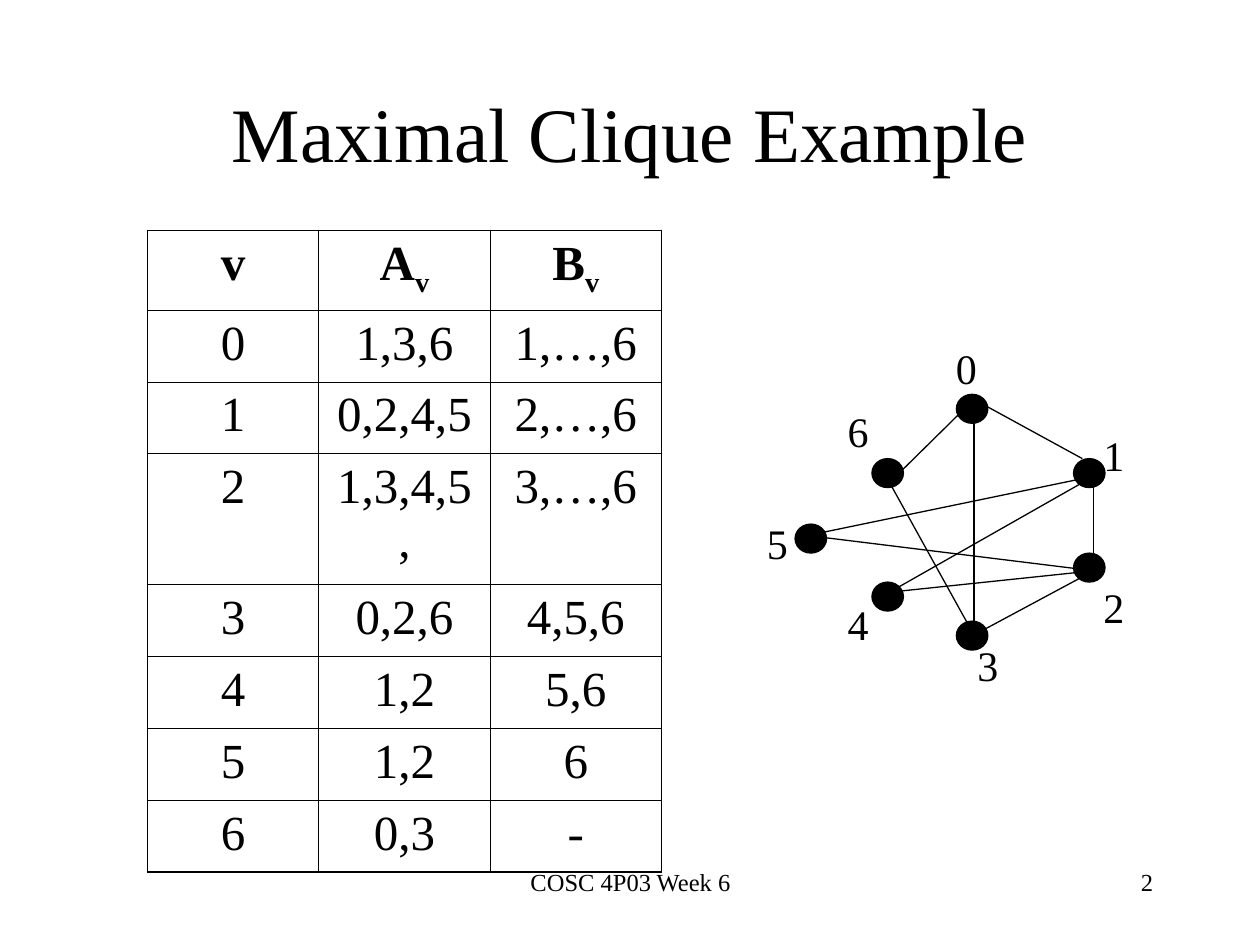
"""Build the maximal clique example slide."""
from lxml import etree
from pptx import Presentation
from pptx.dml.color import RGBColor
from pptx.enum import shapes, text
from pptx.oxml import ns
from pptx.util import Inches, Pt

BLACK = RGBColor(0, 0, 0)
FONT = "Times New Roman"
MID, RIGHT = text.PP_ALIGN.CENTER, text.PP_ALIGN.RIGHT

TITLE = "Maximal Clique Example"
HEAD = [("v", ""), ("A", "v"), ("B", "v")]
ROWS = [
    ("0", "1,3,6", "1,…,6"),
    ("1", "0,2,4,5", "2,…,6"),
    ("2", "1,3,4,5,", "3,…,6"),
    ("3", "0,2,6", "4,5,6"),
    ("4", "1,2", "5,6"),
    ("5", "1,2", "6"),
    ("6", "0,3", "-"),
]
HIGH = [0.63, 0.57, 0.57, 1.04] + [0.57] * 4
WIDE = 1.36
THIN, THICK = 0.45, 1.08

DOTS = [(7.59, 3.13), (8.52, 3.64), (8.52, 4.39), (7.59, 4.93),
        (6.92, 4.62), (6.31, 4.16), (6.92, 3.64)]
HUBS = [(7.73, 3.17), (8.68, 3.78), (8.68, 4.53), (7.73, 5.04),
        (7.06, 4.7), (6.41, 4.25), (7.06, 3.83)]
TAGS = [(7.42, 2.67), (8.59, 3.36), (8.59, 4.57), (7.59, 5.03),
        (6.56, 4.7), (5.92, 4.06), (6.56, 3.17)]
ENDS = {(0, 1): (8.59, 3.64)}


def style(para, size, align=MID, bold=False):
    para.alignment = align
    font = para.font
    font.name, font.size, font.bold = FONT, Pt(size), bold
    font.color.rgb = BLACK


def label(home, words, box, size, align=MID, side=0.1):
    frame = home.add_textbox(*map(Inches, box)).text_frame
    frame.word_wrap = True
    frame.margin_left = frame.margin_right = Inches(side)
    frame.text = words
    style(frame.paragraphs[0], size, align)
    return frame


def edge(home, start, end):
    line = home.add_connector(
        shapes.MSO_CONNECTOR.STRAIGHT, *map(Inches, start + end))
    line.line.color.rgb = BLACK
    line.line.width = Pt(0.75)
    etree.SubElement(line._element.spPr, ns.qn("a:effectLst"))


def dot(home, spot):
    disc = home.add_shape(
        shapes.MSO_SHAPE.OVAL, *map(Inches, spot + (0.25, 0.23)))
    disc.shadow.inherit = False
    disc.fill.solid()
    disc.fill.fore_color.rgb = disc.line.color.rgb = BLACK
    disc.line.width = Pt(0.75)


def border(cell, widths):
    props = cell._tc.get_or_add_tcPr()
    for spot, (side, width) in enumerate(widths.items()):
        line = etree.Element(ns.qn("a:ln" + side), w=str(int(Pt(width))))
        fill = etree.SubElement(line, ns.qn("a:solidFill"))
        etree.SubElement(fill, ns.qn("a:srgbClr"), val=str(BLACK))
        props.insert(spot, line)


def graph(slide):
    home = slide.shapes.add_group_shape().shapes
    for node, (spot, tag) in enumerate(zip(DOTS, TAGS)):
        dot(home, spot)
        label(home, str(node), tag + (0.5, 0.46), 24, side=0)
    for node, (_, near, _) in enumerate(ROWS):
        for peer in map(int, near.strip(",").split(",")):
            if peer > node:
                edge(home, HUBS[node], ENDS.get((node, peer), HUBS[peer]))


def grid(slide):
    rows = [HEAD] + [[(item, "") for item in row] for row in ROWS]
    last, end = len(rows) - 1, len(HEAD) - 1
    table = slide.shapes.add_table(
        len(rows), len(HEAD), Inches(1.17), Inches(1.83),
        Inches(WIDE * len(HEAD)), Inches(sum(HIGH))).table
    table.first_row = table.horz_banding = False
    for col in table.columns:
        col.width = Inches(WIDE)
    for r, row in enumerate(rows):
        table.rows[r].height = Inches(HIGH[r])
        for c, (main, sub) in enumerate(row):
            cell = table.cell(r, c)
            cell.fill.background()
            para = cell.text_frame.paragraphs[0]
            para.add_run().text = main
            if sub:
                run = para.add_run()
                run.text = sub
                run.font._element.set("baseline", "-25000")
            style(para, 28, bold=r == 0)
            para.space_before = Pt(7)
            outer = {"L": c == 0, "R": c == end, "T": r == 0, "B": r == last}
            border(cell, {s: THICK if o else THIN for s, o in outer.items()})


def main():
    deck = Presentation()
    deck.slide_width, deck.slide_height = Inches(10), Inches(7.5)
    slide = deck.slides.add_slide(deck.slide_layouts[6])
    label(slide.shapes, "COSC 4P03 Week 6", (3.42, 6.83, 3.17, 0.5), 14)
    label(slide.shapes, "2", (7.17, 6.83, 2.08, 0.5), 14, RIGHT)
    title = label(slide.shapes, TITLE, (0.75, 0.42, 8.5, 1.25), 44)
    title.vertical_anchor = text.MSO_ANCHOR.MIDDLE
    graph(slide)
    grid(slide)
    deck.save("out.pptx")


if __name__ == "__main__":
    main()
